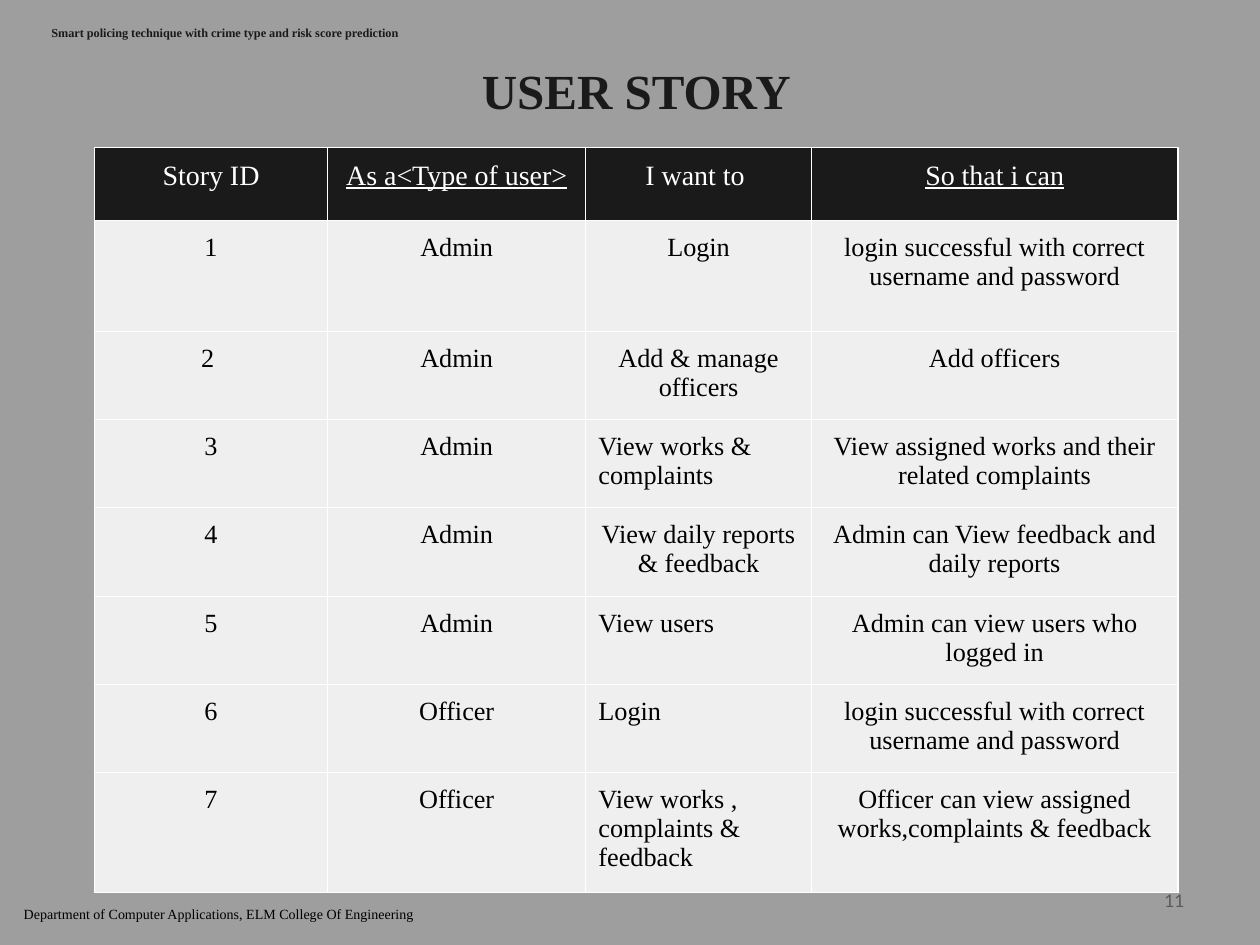
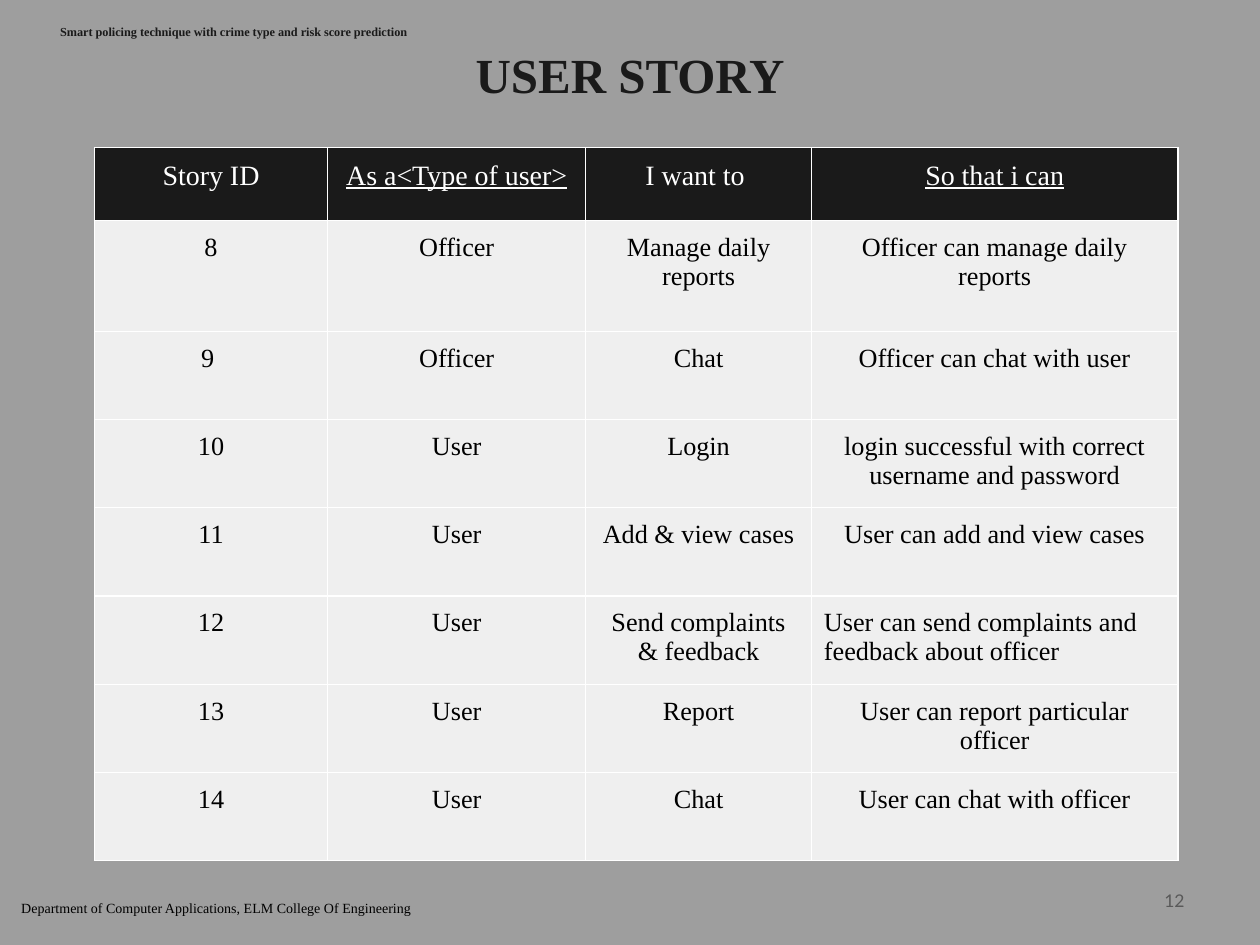
"""Builds two user story slides, each a titled table of stories."""
import pptx
import pptx.dml.color
import pptx.enum.text
import pptx.oxml
import pptx.oxml.ns
import pptx.util

Inches, Pt = pptx.util.Inches, pptx.util.Pt
RGBColor = pptx.dml.color.RGBColor
ALIGN, ANCHOR = pptx.enum.text.PP_ALIGN, pptx.enum.text.MSO_ANCHOR

GREY = RGBColor(0x9E, 0x9E, 0x9E)
INK = RGBColor(0x1A, 0x1A, 0x1A)
BLACK = RGBColor(0, 0, 0)
WHITE = RGBColor(0xFF, 0xFF, 0xFF)
PALE = RGBColor(0xEF, 0xEF, 0xEF)
NUMBER_GREY = RGBColor(0x59, 0x59, 0x59)
SERIF, SANS = "Times New Roman", "Lato"

TITLE = "USER STORY"
PROJECT = "Smart policing technique with crime type and risk score prediction"
DEPARTMENT = "Department of Computer Applications, ELM College Of Engineering"
HEADINGS = ("Story ID", "As a<Type of user>", "I want to ", "So that i can")
UNDERLINED = (1, 3)
COLUMN_WIDTHS = (1.85, 2.05, 1.79, 2.91)
ROW_HEIGHTS = (0.58, 0.88, 0.7, 0.7, 0.7, 0.57, 0.7, 0.7)
TABLE_LEFT, TABLE_TOP = 0.75, 1.17

SLIDES = [
    {
        "number": "11",
        "title_at": (0.55, 0.25),
        "project_at": (0.31, 0.14),
        "department_at": (0.09, 7.12),
        "left_aligned": {(3, 2), (5, 2), (6, 2), (7, 2)},
        "stories": [
            ("1", "Admin", "Login", "login successful with correct username and password"),
            ("2 ", "Admin", "Add & manage officers", "Add officers"),
            ("3", "Admin", "View works & complaints",
             "View assigned works and their related complaints"),
            ("4", "Admin", "View daily reports & feedback",
             "Admin can View feedback and daily reports"),
            ("5", "Admin", "View users", "Admin can view users who logged in"),
            ("6", "Officer", "Login", "login successful with correct username and password"),
            ("7", "Officer", "View works , complaints & feedback",
             "Officer can view assigned works,complaints & feedback"),
        ],
    },
    {
        "number": "12",
        "title_at": (0.5, 0.13),
        "project_at": (0.38, 0.13),
        "department_at": (0.07, 7.07),
        "left_aligned": {(5, 3)},
        "stories": [
            ("8", "Officer", "Manage daily reports", "Officer can manage daily reports"),
            ("9 ", "Officer", "Chat", "Officer can chat with user"),
            ("10", "User", "Login", "login successful with correct username and password"),
            ("11", "User", "Add & view cases", "User can add and view cases"),
            ("12", "User", "Send complaints & feedback",
             "User can send complaints and feedback about officer"),
            ("13", "User", "Report", "User can report particular officer"),
            ("14", "User", "Chat", "User can chat with officer"),
        ],
    },
]


def write(frame, text, size, color, font=SERIF, align=ALIGN.LEFT, bold=False, underline=False):
    frame.text = text
    paragraph = frame.paragraphs[0]
    paragraph.alignment = align
    style = paragraph.runs[0].font
    style.name, style.size, style.bold = font, Pt(size), bold
    style.underline = underline
    style.color.rgb = color


def add_label(slide, at, size, text, points, color, inset=0.1, anchor=ANCHOR.TOP, **style):
    frame = slide.shapes.add_textbox(*map(Inches, at + size)).text_frame
    frame.word_wrap = True
    frame.vertical_anchor = anchor
    frame.margin_left = frame.margin_right = Inches(0.1)
    frame.margin_top = frame.margin_bottom = Inches(inset)
    write(frame, text, points, color, **style)


def add_borders(cell):
    properties = cell._tc.get_or_add_tcPr()
    for position, side in enumerate(("lnL", "lnR", "lnT", "lnB")):
        border = pptx.oxml.parse_xml(
            f'<a:{side} {pptx.oxml.ns.nsdecls("a")} w="{Pt(0.75)}">'
            f'<a:solidFill><a:srgbClr val="{WHITE}"/></a:solidFill></a:{side}>')
        properties.insert(position, border)


def add_stories(slide, stories, left_aligned):
    rows = [HEADINGS] + stories
    table = slide.shapes.add_table(
        len(rows), len(HEADINGS), Inches(TABLE_LEFT), Inches(TABLE_TOP),
        Inches(sum(COLUMN_WIDTHS)), Inches(sum(ROW_HEIGHTS))).table
    for column, width in zip(table.columns, COLUMN_WIDTHS):
        column.width = Inches(width)
    for r, (row, height) in enumerate(zip(rows, ROW_HEIGHTS)):
        table.rows[r].height = Inches(height)
        heading = r == 0
        for c, text in enumerate(row):
            cell = table.cell(r, c)
            cell.margin_left = cell.margin_right = Inches(0.1)
            cell.margin_top = cell.margin_bottom = Inches(0.1)
            cell.fill.solid()
            cell.fill.fore_color.rgb = INK if heading else PALE
            add_borders(cell)
            write(cell.text_frame, text, 16 if heading else 15, WHITE if heading else BLACK,
                  align=ALIGN.LEFT if (r, c) in left_aligned else ALIGN.CENTER,
                  underline=heading and c in UNDERLINED)


def add_story_slide(deck, content):
    slide = deck.slides.add_slide(deck.slide_layouts[6])
    slide.background.fill.solid()
    slide.background.fill.fore_color.rgb = GREY
    add_label(slide, content["title_at"], (9, 0.92), TITLE, 28, INK, inset=0.05,
              anchor=ANCHOR.MIDDLE, align=ALIGN.CENTER, bold=True)
    add_stories(slide, content["stories"], content["left_aligned"])
    add_label(slide, (7.17, 6.95), (2.33, 0.4), content["number"], 10, NUMBER_GREY, inset=0.05,
              anchor=ANCHOR.MIDDLE, font=SANS, align=ALIGN.RIGHT)
    add_label(slide, content["project_at"], (7.4, 0.32), PROJECT, 7, INK, bold=True)
    add_label(slide, content["department_at"], (7.4, 0.34), DEPARTMENT, 8, BLACK)


def main():
    deck = pptx.Presentation()
    deck.slide_width, deck.slide_height = Inches(10), Inches(7.5)
    for content in SLIDES:
        add_story_slide(deck, content)
    deck.save("out.pptx")


if __name__ == "__main__":
    main()
